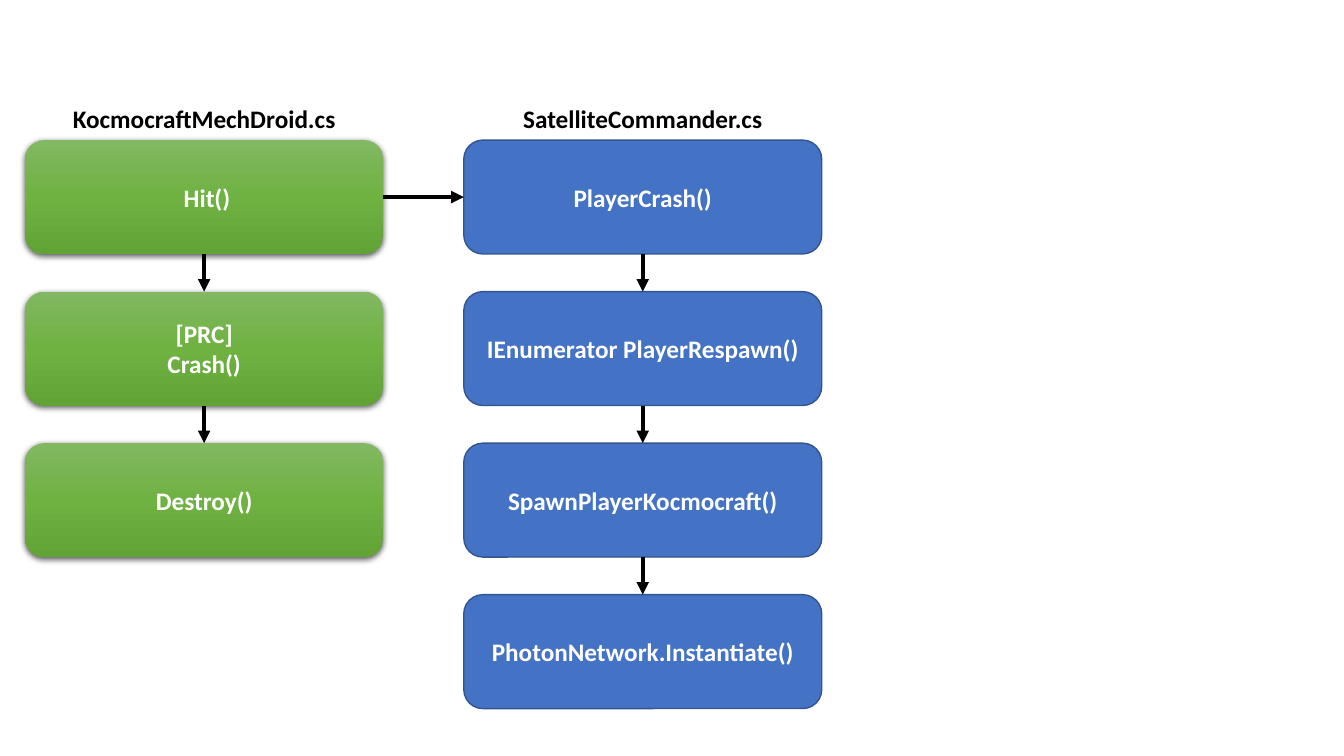
from copy import deepcopy

from lxml.etree import SubElement
from pptx import Presentation
from pptx.dml.color import RGBColor
from pptx.enum.shapes import MSO_CONNECTOR, MSO_SHAPE
from pptx.enum.text import MSO_ANCHOR, MSO_AUTO_SIZE, PP_ALIGN
from pptx.oxml.ns import qn
from pptx.util import Inches, Pt

COLORS = {"blue": "4472C4", "border": "325491", "black": "000000", "white": "FFFFFF"}
GREENS = ["81B861", "6FB242", "62A336"]

BOX_W, BOX_H = 3.55, 1.13
TOP, LAST_TOP = 1.39, 5.9
PITCH = (LAST_TOP - TOP) / 3
TITLE_TOP, TITLE_H = 0.98, 0.4

# file name, left edge, title width, style, methods from top to bottom
COLUMNS = [
    ("SatelliteCommander.cs", 4.6, 2.59, "blue",
     ["PlayerCrash()", "IEnumerator PlayerRespawn()",
      "SpawnPlayerKocmocraft()", "PhotonNetwork.Instantiate()"]),
    ("KocmocraftMechDroid.cs", 0.25, 2.83, "green",
     [" Hit()", "[PRC]\nCrash()", "Destroy()"]),
]


def write(tf, text, color="black", size=18, bold=True, font="Calibri"):
    """Fill a text frame with centred paragraphs, one per line of text."""
    for i, line in enumerate(text.split("\n")):
        p = tf.add_paragraph() if i else tf.paragraphs[0]
        p.alignment = PP_ALIGN.CENTER
        r = p.add_run()
        r.text = line
        r.font.size, r.font.bold, r.font.name = Pt(size), bold, font
        r.font.color.rgb = RGBColor.from_string(COLORS[color])


def add_arrow(s, x1, y1, x2, y2):
    """Draw a straight black arrow between two points given in inches."""
    cxn = s.shapes.add_connector(MSO_CONNECTOR.STRAIGHT,
                                 Inches(x1), Inches(y1), Inches(x2), Inches(y2))
    cxn.line.width = Pt(3)
    cxn.line.color.rgb = RGBColor.from_string(COLORS["black"])
    SubElement(cxn.line._get_or_add_ln(), qn("a:tailEnd"), type="triangle")
    SubElement(cxn._element.spPr, qn("a:effectLst"))


prs = Presentation()
prs.slide_width, prs.slide_height = Inches(13.33), Inches(7.5)
s = prs.slides.add_slide(prs.slide_layouts[6])

for title, left, title_w, style, methods in COLUMNS:
    center = left + BOX_W / 2
    tb = s.shapes.add_textbox(Inches(center - title_w / 2), Inches(TITLE_TOP),
                              Inches(title_w), Inches(TITLE_H))
    tf = tb.text_frame
    tf.word_wrap = False
    tf.auto_size = MSO_AUTO_SIZE.SHAPE_TO_FIT_TEXT
    write(tf, title)

    for row, method in enumerate(methods):
        top = TOP + row * PITCH
        sp = s.shapes.add_shape(MSO_SHAPE.ROUNDED_RECTANGLE, Inches(left), Inches(top),
                                Inches(BOX_W), Inches(BOX_H))
        sp.shadow.inherit = False
        if style == "blue":
            sp.fill.solid()
            sp.fill.fore_color.rgb = RGBColor.from_string(COLORS["blue"])
            sp.line.color.rgb = RGBColor.from_string(COLORS["border"])
            sp.line.width = Pt(1)
        else:
            sp.line.fill.background()
            sp.fill.gradient()
            sp.fill.gradient_angle = 270
            stops = sp._element.spPr.find(".//" + qn("a:gsLst"))
            stops.insert(1, deepcopy(stops[0]))
            for i, (stop, green) in enumerate(zip(sp.fill.gradient_stops, GREENS)):
                stop.position = i / 2
                stop.color.rgb = RGBColor.from_string(green)
            effects = sp._element.spPr.find(qn("a:effectLst"))
            shadow = SubElement(effects, qn("a:outerShdw"), blurRad=str(Pt(4.5)),
                                dist=str(Pt(1.5)), dir="5400000", algn="ctr", rotWithShape="0")
            clr = SubElement(shadow, qn("a:srgbClr"), val=COLORS["black"])
            SubElement(clr, qn("a:alpha"), val="63000")
        sp.text_frame.word_wrap = True
        sp.text_frame.vertical_anchor = MSO_ANCHOR.MIDDLE
        write(sp.text_frame, method, color="white")
        if row:
            add_arrow(s, center, top - PITCH + BOX_H, center, top)

# Hit() calls PlayerCrash() in the other file
add_arrow(s, 0.25 + BOX_W, TOP + BOX_H / 2, 4.6, TOP + BOX_H / 2)

prs.save("out.pptx")
